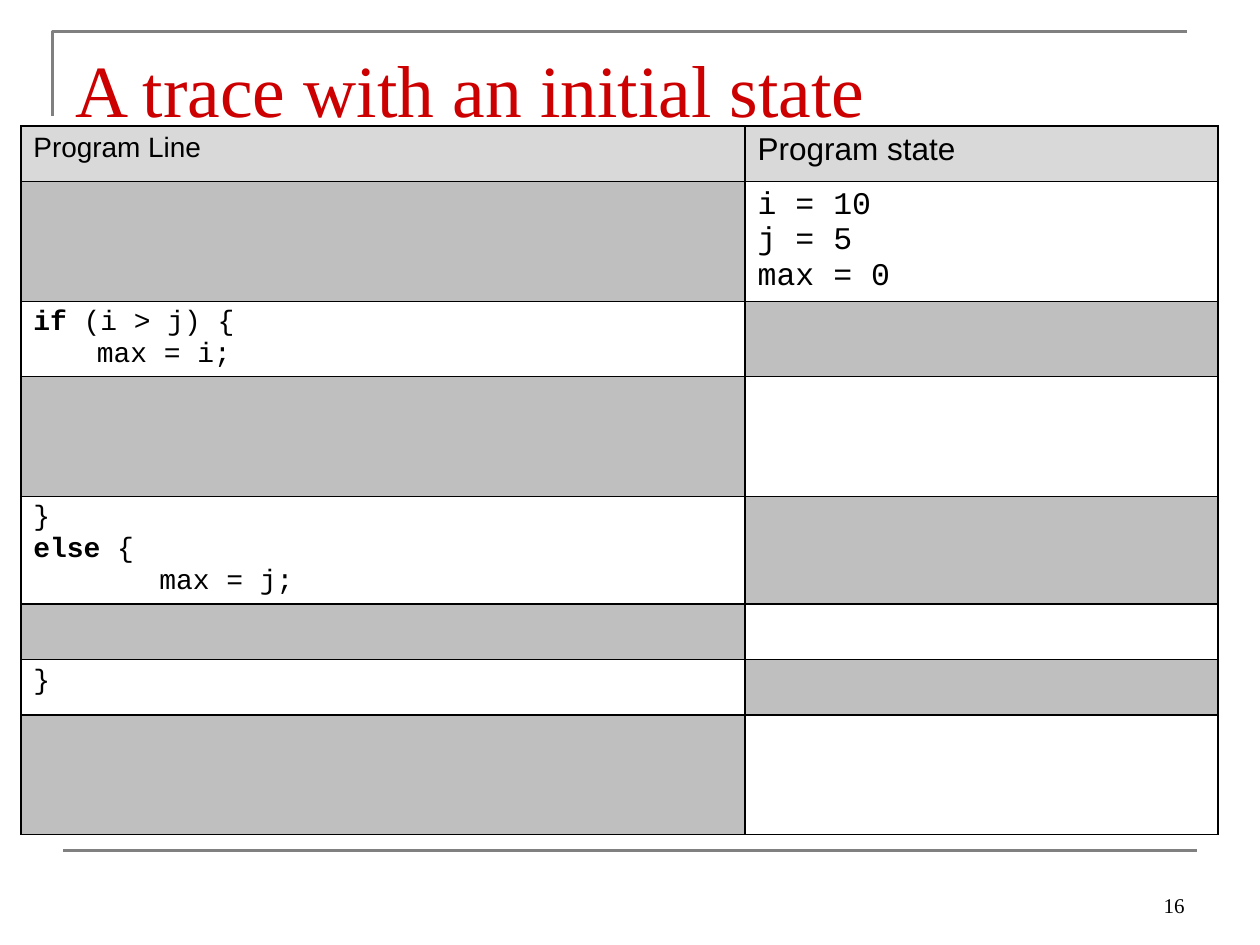
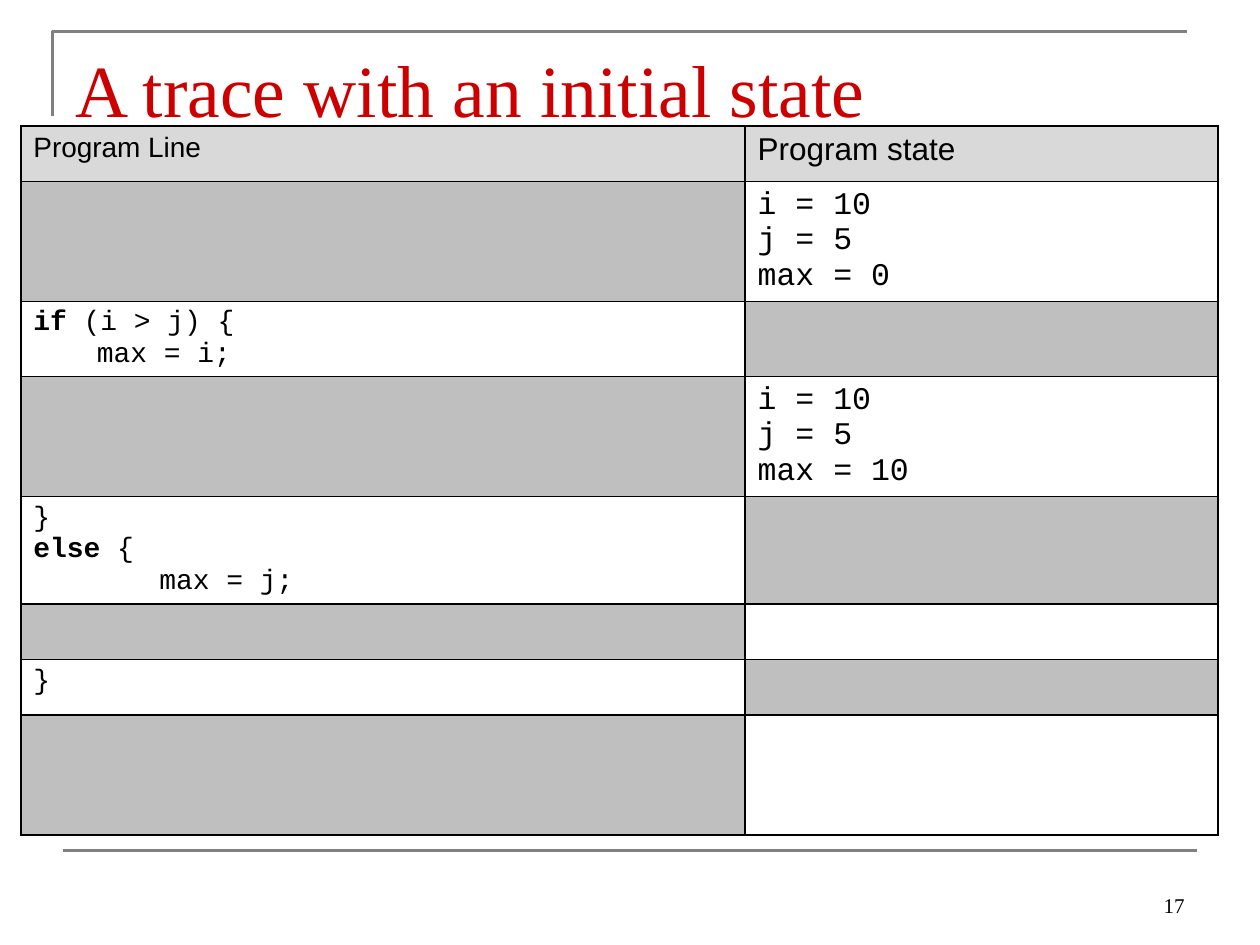
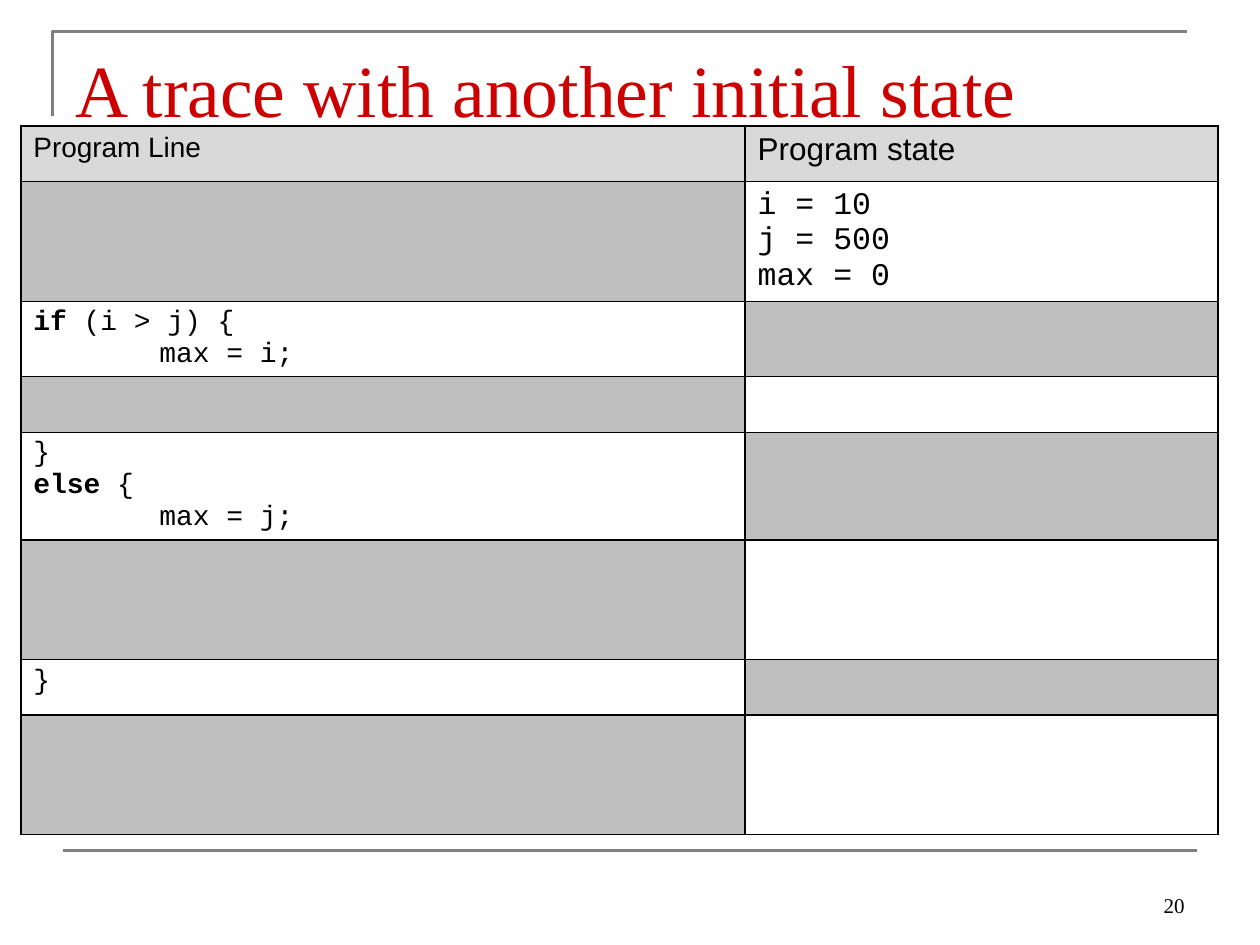
from lxml.etree import SubElement
from pptx import Presentation
from pptx.dml.color import RGBColor
from pptx.enum.shapes import MSO_CONNECTOR as Connector
from pptx.enum.text import MSO_ANCHOR as Anchor, PP_ALIGN as Align
from pptx.oxml.ns import qn
from pptx.util import Cm, Pt

SERIF, SANS, MONO = "Times New Roman", "Arial", "Courier New"
RED, BLACK, WHITE = "CC0000", "000000", "FFFFFF"
RULE_GREY, HEADER_GREY, UNUSED_GREY = "808080", "D9D9D9", "BFBFBF"
CODE_SIZE, STATE_SIZE = 16, 18
COLUMN_WIDTHS = (14.6, 9.53)
SHORT, TALL, TWO_LINES, THREE_LINES = 1.12, 2.41, 1.52, 2.17
SMALL_TAB, WIDE_TAB = 1.28, 2.54
KEYWORDS = ("if", "else")


def color(hex_code):
    """Turn a hex string into a colour."""
    return RGBColor.from_string(hex_code)


def style_runs(paragraph, font_name, size, hex_code=BLACK):
    """Give every run of a paragraph the same font."""
    for run in paragraph.runs:
        run.font.name = font_name
        run.font.size = Pt(size)
        run.font.color.rgb = color(hex_code)


def style_rule(rule):
    """Draw a frame rule in thin grey."""
    rule.line.color.rgb = color(RULE_GREY)
    rule.line.width = Pt(1.5)


def add_frame(slide):
    """Add the corner rule at the top and the rule at the foot."""
    outline = slide.shapes.build_freeform(Cm(1.06), Cm(2.33), scale=1)
    outline.add_line_segments(
        [(Cm(1.06), Cm(0.64)), (Cm(23.92), Cm(0.64))], close=False)
    corner = outline.convert_to_shape()
    corner.fill.background()
    corner.shadow.inherit = False
    style_rule(corner)
    foot = slide.shapes.add_connector(
        Connector.STRAIGHT, Cm(1.27), Cm(17.15), Cm(24.13), Cm(17.15))
    style_rule(foot)
    SubElement(foot._element.spPr, qn("a:effectLst"))


def add_label(slide, text, box, size, hex_code, anchor, align):
    """Add a line of serif text."""
    frame = slide.shapes.add_textbox(*map(Cm, box)).text_frame
    frame.word_wrap = True
    frame.vertical_anchor = anchor
    frame.text = text
    frame.paragraphs[0].alignment = align
    style_runs(frame.paragraphs[0], SERIF, size, hex_code)


def add_borders(cell):
    """Draw a thin black border on each side of a cell."""
    properties = cell._tc.get_or_add_tcPr()
    for position, side in enumerate(("lnL", "lnR", "lnT", "lnB")):
        border = SubElement(properties, qn(f"a:{side}"), w=str(Pt(1)))
        fill = SubElement(border, qn("a:solidFill"))
        SubElement(fill, qn("a:srgbClr"), val=BLACK)
        properties.insert(position, border)


def set_tab(paragraph, tab):
    """Put one left tab stop in a paragraph."""
    stops = SubElement(paragraph._p.get_or_add_pPr(), qn("a:tabLst"))
    SubElement(stops, qn("a:tab"), pos=str(Cm(tab)), algn="l")


def fill_cell(cell, lines, font_name, size, background, tab=None):
    """Write lines into a cell, with a leading keyword in bold."""
    cell.fill.solid()
    cell.fill.fore_color.rgb = color(background)
    cell.margin_bottom = Cm(0)
    add_borders(cell)
    cell.text_frame.text = "\n".join(lines)
    for paragraph, line in zip(cell.text_frame.paragraphs, lines):
        word, gap, rest = line.partition(" ")
        if word in KEYWORDS:
            paragraph.text = word
            paragraph.runs[0].font.bold = True
            paragraph.add_run().text = gap + rest
        if line.startswith("\t"):
            set_tab(paragraph, tab)
        style_runs(paragraph, font_name, size)


def add_trace(slide, states, then_tab, then_height, else_height):
    """Add the table that alternates program states and code steps."""
    steps = ((("if (i > j) {", "\tmax = i;"), then_tab),
             (("}", "else {", "\tmax = j;"), WIDE_TAB),
             (("}",), None))
    heights = (SHORT, TALL, TWO_LINES, then_height,
               THREE_LINES, else_height, SHORT, TALL)
    table = slide.shapes.add_table(
        len(heights), 2, Cm(0.42), Cm(2.54),
        Cm(sum(COLUMN_WIDTHS)), Cm(sum(heights))).table
    table.first_row = table.horz_banding = False
    for column, width in zip(table.columns, COLUMN_WIDTHS):
        column.width = Cm(width)
    for row, height in zip(table.rows, heights):
        row.height = Cm(height)

    fill_cell(table.cell(0, 0), ["Program Line"], SANS, CODE_SIZE, HEADER_GREY)
    fill_cell(table.cell(0, 1), ["Program state"], SANS, STATE_SIZE, HEADER_GREY)
    for index in range(4):
        values = states[index] if index < len(states) else ()
        lines = [f"{name} = {value}" for name, value in zip(("i", "j", "max"), values)]
        row = 1 + 2 * index
        fill_cell(table.cell(row, 0), [], MONO, CODE_SIZE, UNUSED_GREY)
        fill_cell(table.cell(row, 1), lines, MONO, STATE_SIZE, WHITE)
    for index, (code, tab) in enumerate(steps):
        row = 2 + 2 * index
        fill_cell(table.cell(row, 0), code, MONO, CODE_SIZE, WHITE, tab)
        fill_cell(table.cell(row, 1), [], MONO, STATE_SIZE, UNUSED_GREY)


def add_trace_slide(deck, title, number, *trace):
    """Add a slide with frame, title, page number and trace table."""
    slide = deck.slides.add_slide(deck.slide_layouts[6])
    add_frame(slide)
    add_label(slide, title, (1.27, 0.76, 22.86, 3.18), 42, RED,
              Anchor.TOP, Align.LEFT)
    add_label(slide, str(number), (18.2, 17.35, 5.93, 1.27), 12, BLACK,
              Anchor.BOTTOM, Align.RIGHT)
    add_trace(slide, *trace)


def main():
    """Build the three trace slides."""
    deck = Presentation()
    deck.slide_width, deck.slide_height = Cm(25.4), Cm(19.05)
    first_title = "A trace with an initial state"
    start, after_then = (10, 5, 0), (10, 5, 10)
    add_trace_slide(deck, first_title, 16, [start], SMALL_TAB, TALL, SHORT)
    add_trace_slide(deck, first_title, 17, [start, after_then],
                    SMALL_TAB, TALL, SHORT)
    add_trace_slide(deck, "A trace with another initial state", 20,
                    [(10, 500, 0)], WIDE_TAB, SHORT, TALL)
    deck.save("out.pptx")


main()
